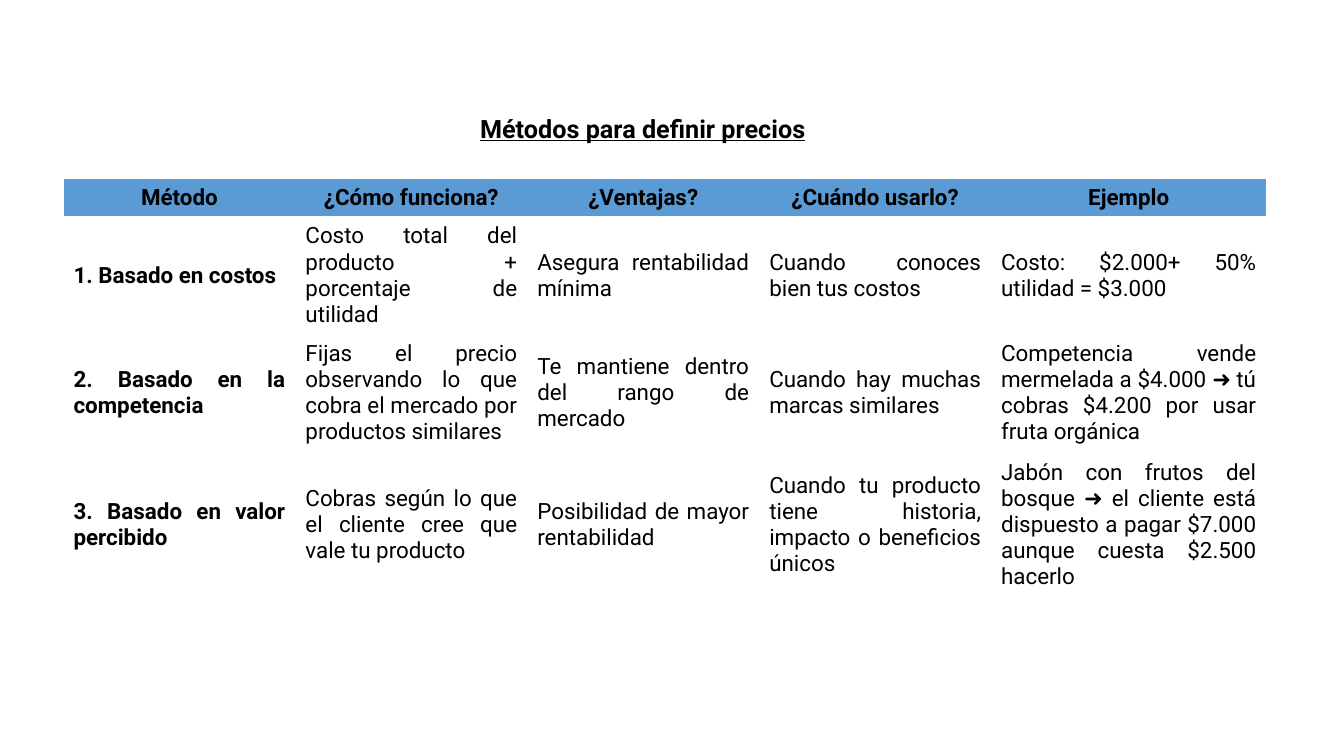
from pptx import Presentation
from pptx.dml.color import RGBColor
from pptx.enum.text import MSO_ANCHOR as Anchor, PP_ALIGN as Align
from pptx.util import Emu, Pt

PX = 9144  # 100 px to the inch
NO_GRID_STYLE = "{2D5ABB26-0587-4C30-8999-92F81FD0307C}"
BLACK, HEADER_BLUE = "000000", "5B9BD5"

COLUMN_WIDTHS = [230, 230, 230, 230, 273]
ROW_HEIGHTS = [36, 117, 117, 143]
METHODS = [
    ["Método", "¿Cómo funciona?", "¿Ventajas?", "¿Cuándo usarlo?", "Ejemplo"],
    ["1. Basado en costos",
     "Costo total del producto + porcentaje de utilidad",
     "Asegura rentabilidad mínima",
     "Cuando conoces bien tus costos",
     "Costo: $2.000+ 50% utilidad = $3.000"],
    ["2. Basado en la competencia",
     "Fijas el precio observando lo que cobra el mercado por productos similares",
     "Te mantiene dentro del rango de mercado",
     "Cuando hay muchas marcas similares",
     "Competencia vende mermelada a $4.000 ➜ tú cobras $4.200 por usar fruta orgánica"],
    ["3. Basado en valor percibido",
     "Cobras según lo que el cliente cree que vale tu producto",
     "Posibilidad de mayor rentabilidad",
     "Cuando tu producto tiene historia, impacto o beneficios únicos",
     "Jabón con frutos del bosque ➜ el cliente está dispuesto a pagar $7.000 "
     "aunque cuesta $2.500 hacerlo"],
]


def px(length):
    return Emu(length * PX)


def color(value):
    return RGBColor.from_string(value)


def write(frame, text, align, **formats):
    paragraph = frame.paragraphs[0]
    paragraph.alignment = align
    run = paragraph.add_run()
    run.text = text
    run.font.color.rgb = color(BLACK)
    for name, value in {"name": "Roboto", **formats}.items():
        setattr(run.font, name, value)


def add_heading(slide, left, top, width, height):
    heading = slide.shapes.add_textbox(*map(px, (left, top, width, height)))
    heading.text_frame.word_wrap = True
    write(heading.text_frame, "Métodos para definir precios", Align.CENTER,
          size=Pt(18), bold=True, underline=True)


def add_methods(slide, left, top):
    box = (left, top, sum(COLUMN_WIDTHS), sum(ROW_HEIGHTS))
    frame = slide.shapes.add_table(len(METHODS), len(COLUMN_WIDTHS), *map(px, box))
    methods = frame.table

    # Plain style without grid lines or bands
    methods.first_row = methods.horz_banding = False
    methods._tbl.tblPr.find("{*}tableStyleId").text = NO_GRID_STYLE

    for column, width in zip(methods.columns, COLUMN_WIDTHS):
        column.width = px(width)
    for row, height in zip(methods.rows, ROW_HEIGHTS):
        row.height = px(height)

    # Blue header row, bold method names in the first column
    for r, texts in enumerate(METHODS):
        for c, text in enumerate(texts):
            cell = methods.cell(r, c)
            cell.vertical_anchor = Anchor.MIDDLE
            if r == 0:
                cell.fill.solid()
                cell.fill.fore_color.rgb = color(HEADER_BLUE)
            else:
                cell.fill.background()
            write(cell.text_frame, text, Align.JUSTIFY if r else Align.CENTER,
                  size=Pt(16), bold=r == 0 or c == 0)


def main():
    deck = Presentation()
    deck.slide_width, deck.slide_height = px(1333), px(750)
    slide = deck.slides.add_slide(deck.slide_layouts[6])
    add_heading(slide, 94, 107, 1087, 71)
    add_methods(slide, 63, 178)
    deck.save("out.pptx")


if __name__ == "__main__":
    main()
